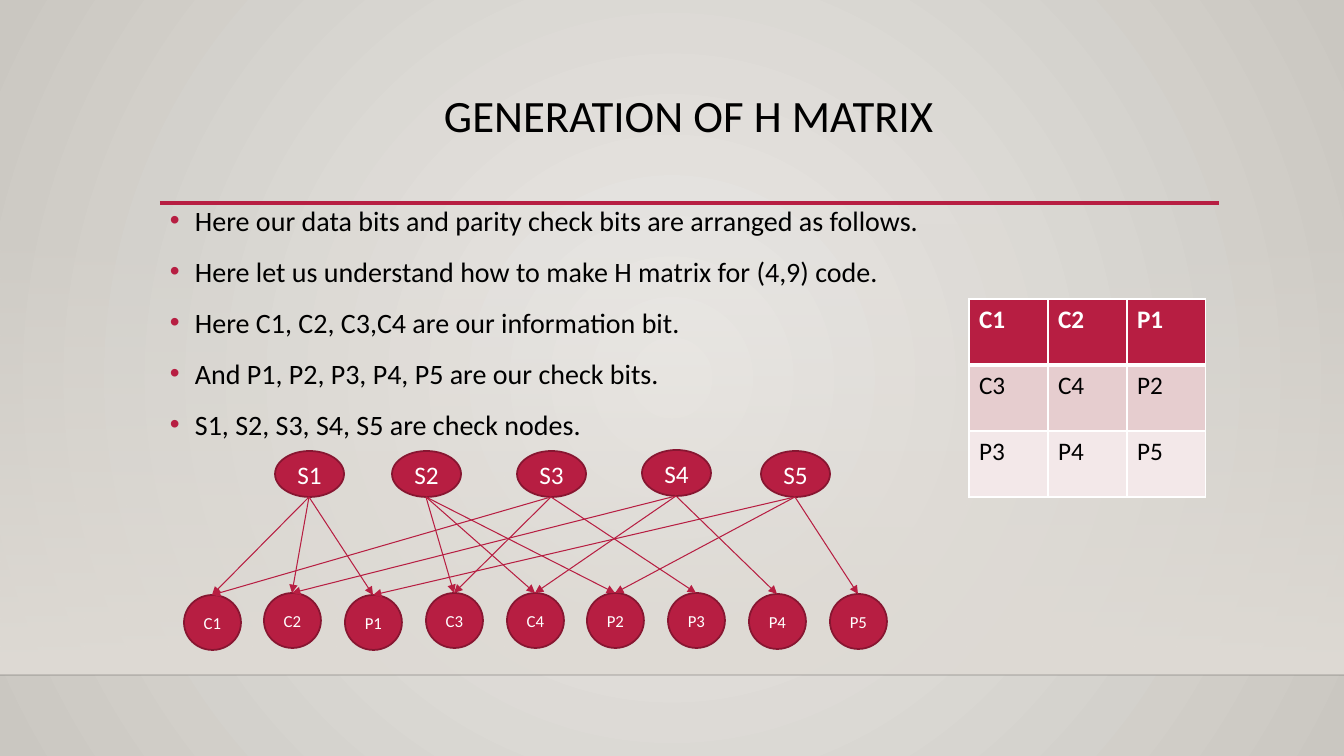
from pptx import Presentation
from pptx import util as u
from pptx.dml.color import RGBColor
from pptx.enum import shapes, text
from pptx.oxml import parse_xml
from pptx.oxml.ns import nsdecls, qn
from lxml import etree


class Theme:
    font = "Calibri"
    red, dark_red = "B71E42", "871631"
    black, white, edge = "000000", "FFFFFF", "000001"
    sand, glow, shade = "DFDBD5", "ECEAE7", "CAC7C1"
    bands = ["B71E42", "E6CDCF", "F3E8E9"]
    title, body, label, small = 32, 20, 18, 12


def px(*lengths):
    return [u.Emu(round(n * 914400 / 100.8)) for n in lengths]


def write(p, words, size, color, bold=False):
    r = p.add_run()
    r.text = words
    r.font.name, r.font.size, r.font.bold = Theme.font, u.Pt(size), bold
    r.font.color.rgb = RGBColor.from_string(color)


prs = Presentation()
prs.slide_width, prs.slide_height = px(1344, 756)
s = prs.slides.add_slide(prs.slide_layouts[6])

fill = s.background.fill
fill.gradient()
for stop, color in zip(fill.gradient_stops, (Theme.glow, Theme.shade)):
    stop.color.rgb = RGBColor.from_string(color)
grad = s.background._cSld.find(".//" + qn("a:gradFill"))
grad.remove(grad.find(qn("a:lin")))
grad.append(parse_xml(
    f'<a:path {nsdecls("a")} path="circle">'
    '<a:fillToRect l="50000" t="50000" r="50000" b="50000"/></a:path>'))

wall = s.shapes.add_shape(shapes.MSO_SHAPE.RECTANGLE, *px(0, 223, 1344, 452))
wall.shadow.inherit = False
wall.line.fill.background()
wall.fill.gradient()
wall.fill.gradient_angle = 270
for stop in wall.fill.gradient_stops:
    stop.color.rgb = RGBColor.from_string(Theme.sand)
clear = wall._element.spPr.find(".//" + qn("a:srgbClr"))
etree.SubElement(clear, qn("a:alpha"), val="0")

tf = s.shapes.add_textbox(*px(160, 89, 1058, 116)).text_frame
tf.word_wrap = True
p = tf.paragraphs[0]
p.alignment, p.line_spacing = text.PP_ALIGN.CENTER, 0.9
write(p, "GENERATION OF H MATRIX", Theme.title, Theme.black)

points = [
    "Here our data bits and parity check bits are arranged as follows.",
    "Here let us understand how to make H matrix for (4,9) code.",
    "Here C1, C2, C3,C4 are our information bit.",
    "And P1, P2, P3, P4, P5 are our check bits.",
    "S1, S2, S3, S4, S5 are check nodes.",
]
tf = s.shapes.add_textbox(*px(160, 195, 1058, 257)).text_frame
tf.word_wrap = True
indent, = px(25)
for i, point in enumerate(points):
    p = tf.add_paragraph() if i else tf.paragraphs[0]
    p.line_spacing, p.space_before = 1.1, u.Pt(10)
    pPr = p._p.get_or_add_pPr()
    pPr.set("marL", str(indent))
    pPr.set("indent", str(-indent))
    color = etree.SubElement(pPr, qn("a:buClr"))
    etree.SubElement(color, qn("a:srgbClr"), val=Theme.red)
    etree.SubElement(pPr, qn("a:buFont"), typeface="Arial")
    etree.SubElement(pPr, qn("a:buChar"), char="•")
    write(p, point, Theme.body, Theme.black)

bits = [["C1", "C2", "P1"], ["C3", "C4", "P2"], ["P3", "P4", "P5"]]
table = s.shapes.add_table(3, 3, *px(969, 299, 237, 198)).table
for i, row in enumerate(bits):
    for j, bit in enumerate(row):
        cell = table.cell(i, j)
        tcPr = cell._tc.get_or_add_tcPr()
        for side in "LRTB":
            heavy = (i, side) in ((0, "B"), (1, "T"))
            width = u.Pt(3 if heavy else 1)
            tcPr.append(parse_xml(
                f'<a:ln{side} {nsdecls("a")} w="{width}"><a:solidFill>'
                f'<a:srgbClr val="{Theme.white}"/></a:solidFill></a:ln{side}>'))
        cell.fill.solid()
        cell.fill.fore_color.rgb = RGBColor.from_string(Theme.bands[i])
        write(cell.text_frame.paragraphs[0], bit, Theme.label,
              Theme.black if i else Theme.white, bold=i == 0)

checks = {"S1": (275, 451), "S2": (392, 451), "S3": (517, 451),
          "S4": (642, 450), "S5": (761, 451)}
nodes = [(name, x, y, 69, 46, Theme.label) for name, (x, y) in checks.items()]
bit_tops = [595, 593, 595, 593, 593, 593, 593, 594, 594]
for i, (bit, top) in enumerate(zip(sum(bits, []), bit_tops)):
    nodes.append((bit, 184 + i * 646 // 8, top, 57, 55, Theme.small))

tops, bottoms = {}, {}
for name, x, y, w, h, size in nodes:
    sp = s.shapes.add_shape(shapes.MSO_SHAPE.OVAL, *px(x, y, w, h))
    sp.shadow.inherit = False
    sp.fill.solid()
    sp.fill.fore_color.rgb = RGBColor.from_string(Theme.red)
    sp.line.color.rgb = RGBColor.from_string(Theme.dark_red)
    sp.line.width = u.Pt(1.25)
    tf = sp.text_frame
    tf.margin_left = tf.margin_right = tf.margin_top = tf.margin_bottom = 0
    tf.vertical_anchor = text.MSO_ANCHOR.MIDDLE
    tf.paragraphs[0].alignment = text.PP_ALIGN.CENTER
    write(tf.paragraphs[0], name, size, Theme.white)
    tops[name], bottoms[name] = (x + w // 2, y), (x + w // 2, y + h)

links = {"S1": ["C1", "C2", "P1"], "S2": ["C3", "C4", "P2"],
         "S3": ["C1", "C3", "P3"], "S4": ["C2", "C4", "P4"],
         "S5": ["P1", "P2", "P5"]}
lines = [((0, 675), (1344, 675), Theme.edge, 1),
         ((160, 203), (1219, 203), Theme.red, 2.5)]
lines += [(bottoms[check], tops[bit], Theme.red, 0.75)
          for check, linked in links.items() for bit in linked]
for start, end, color, width in lines:
    line = s.shapes.add_connector(shapes.MSO_CONNECTOR.STRAIGHT,
                                  *px(*start, *end))
    line.line.color.rgb = RGBColor.from_string(color)
    line.line.width = u.Pt(width)
    spPr = line._element.spPr
    etree.SubElement(spPr, qn("a:effectLst"))
    if color == Theme.edge:
        etree.SubElement(spPr.find(".//" + qn("a:srgbClr")),
                         qn("a:alpha"), val="20000")
    if width == 0.75:
        etree.SubElement(spPr.find(qn("a:ln")), qn("a:tailEnd"), type="triangle")

prs.save("out.pptx")
